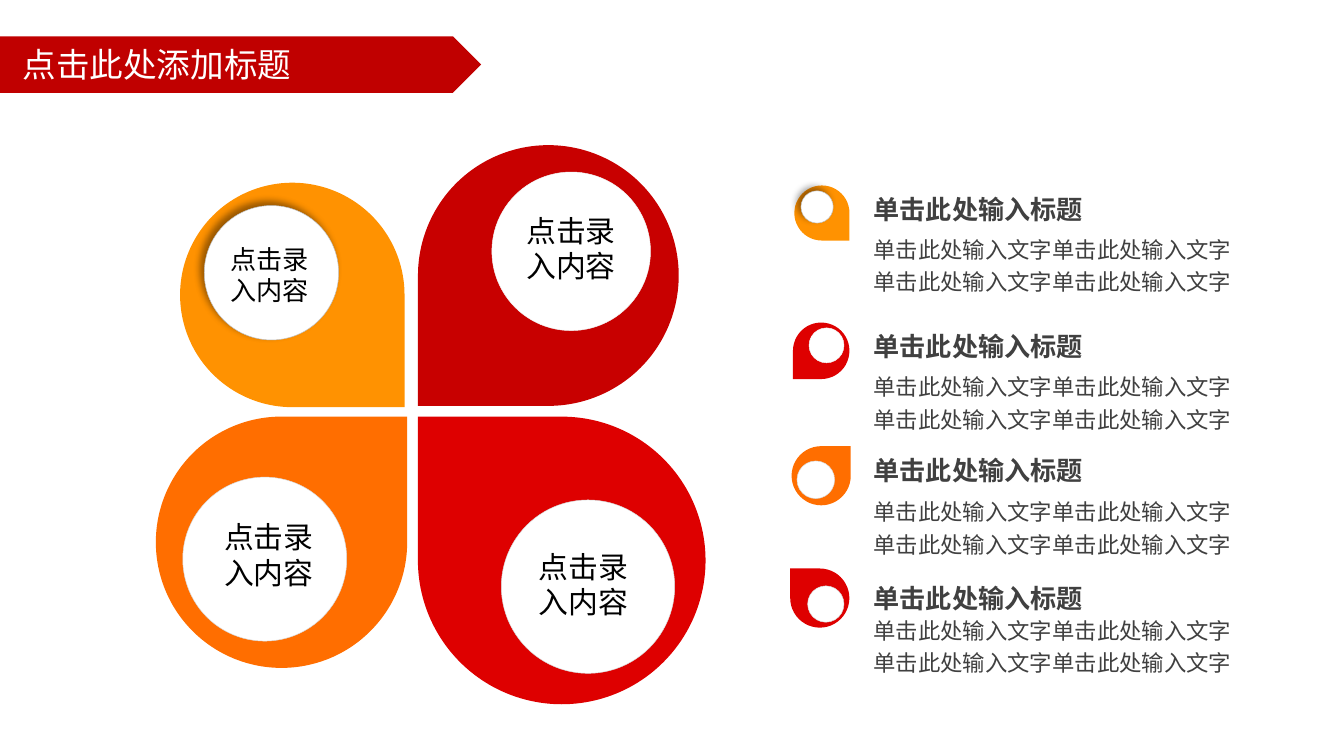
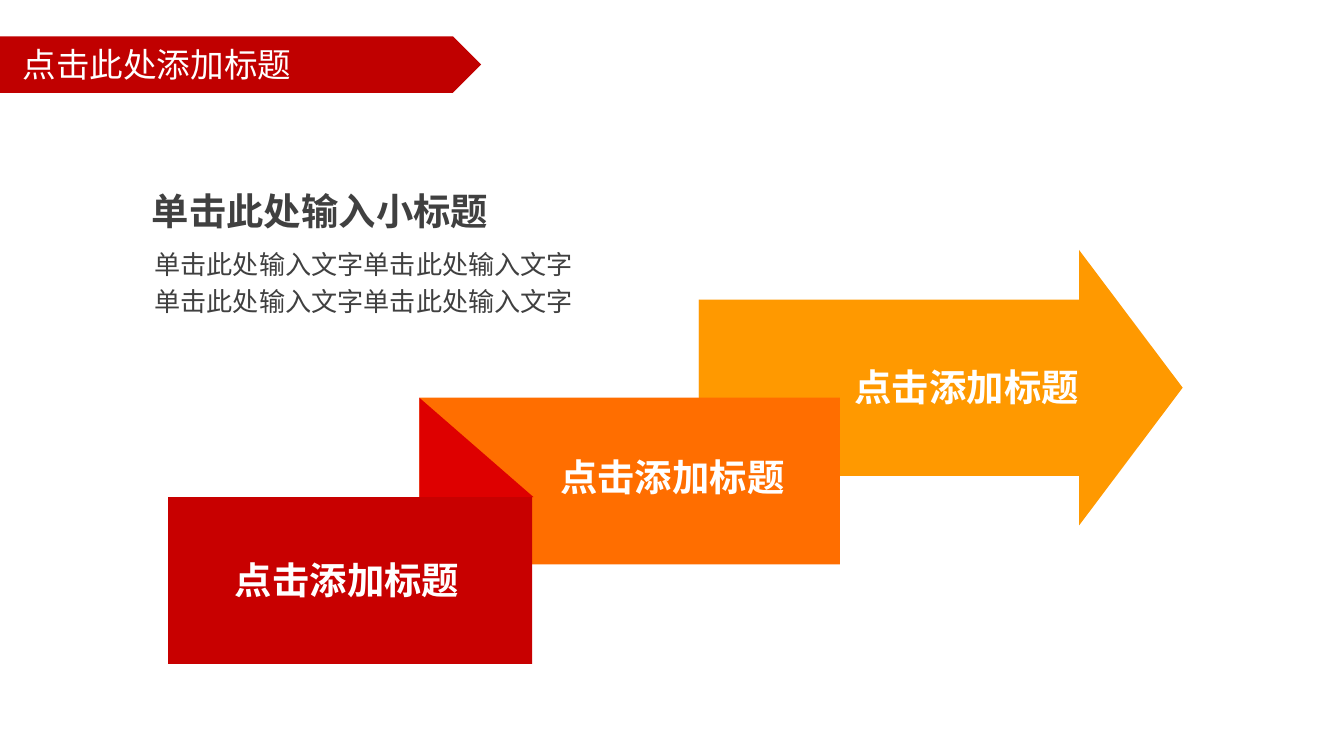
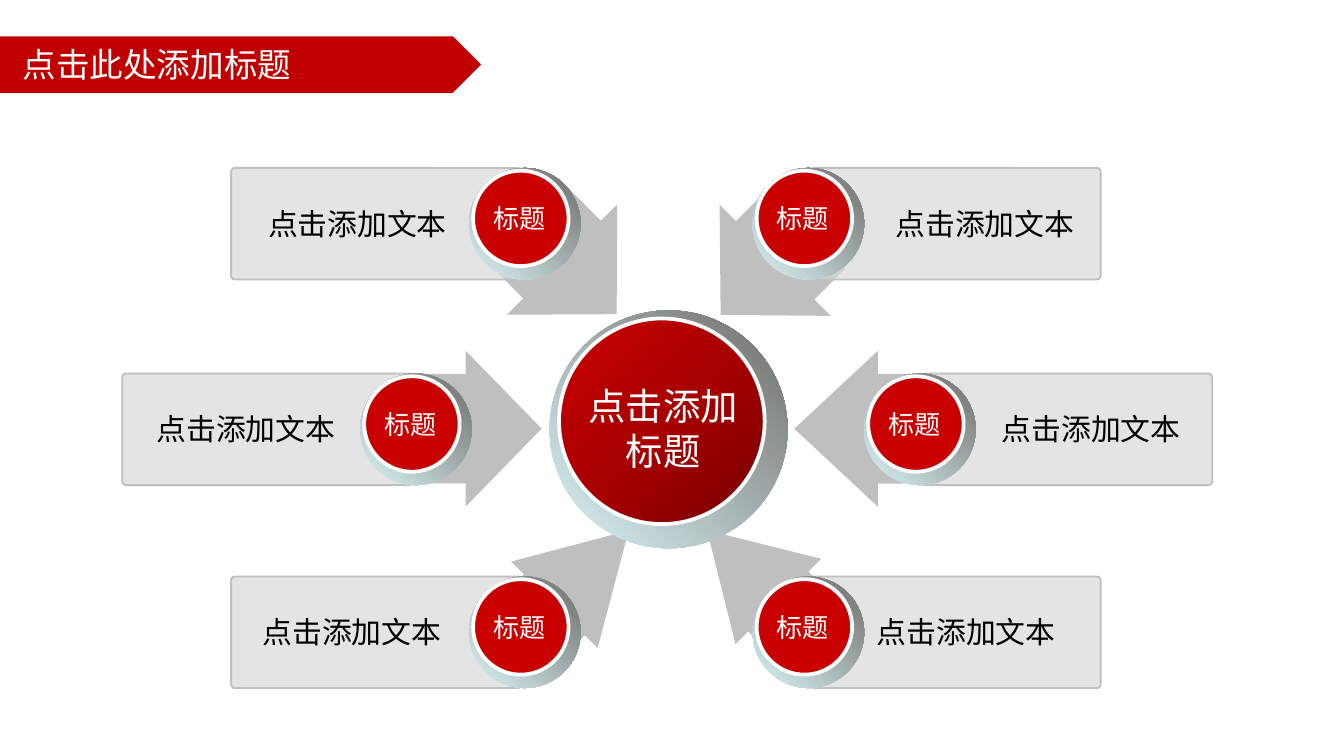
from lxml import etree
from pptx import Presentation
from pptx.dml.color import RGBColor
from pptx.enum.shapes import MSO_SHAPE
from pptx.enum.text import MSO_ANCHOR, PP_ALIGN
from pptx.oxml.ns import qn
from pptx.util import Inches, Pt

# Shared shapes and alignment
PENTAGON = MSO_SHAPE.PENTAGON
TEARDROP = MSO_SHAPE.TEAR
OVAL = MSO_SHAPE.OVAL
RECTANGLE = MSO_SHAPE.RECTANGLE
ROUNDED = MSO_SHAPE.ROUNDED_RECTANGLE
ARROW = MSO_SHAPE.RIGHT_ARROW
LEFT, CENTER = PP_ALIGN.LEFT, PP_ALIGN.CENTER
TOP, MIDDLE = MSO_ANCHOR.TOP, MSO_ANCHOR.MIDDLE

# Shared font and colours
FONT = "Noto Sans CJK SC"
WHITE = RGBColor(0xFF, 0xFF, 0xFF)
BLACK = RGBColor(0x00, 0x00, 0x00)
TEXT_GREY = RGBColor(0x40, 0x40, 0x40)
BAND_RED = RGBColor(0xC0, 0x00, 0x00)
DEEP_RED = RGBColor(0xC8, 0x00, 0x00)
RED = RGBColor(0xDE, 0x00, 0x00)
ORANGE = RGBColor(0xFF, 0x6E, 0x00)
AMBER = RGBColor(0xFF, 0x92, 0x01)
ARROW_AMBER = RGBColor(0xFF, 0x99, 0x00)
PALE_GREY = RGBColor(0xF2, 0xF2, 0xF2)
LIGHT_GREY = RGBColor(0xD9, 0xD9, 0xD9)
MID_GREY = RGBColor(0xBF, 0xBF, 0xBF)
RIM_STOPS = [(0, "DBF5F9"), (100, "6E6D68")]
HUB_STOPS = [(0, "760000"), (50, "A90000"), (100, "C80000")]

SENTENCE = "单击此处输入文字单击此处输入文字"


def add_text(slide, text, left, top, width, height, size=16, color=BLACK, bold=False,
             align=LEFT, anchor=TOP, spacing=None, wrap=True, inset=True, font=FONT):
    box = slide.shapes.add_textbox(Inches(left), Inches(top), Inches(width), Inches(height))
    frame = box.text_frame
    frame.word_wrap = wrap
    frame.vertical_anchor = anchor
    if not inset:
        frame.margin_left = frame.margin_right = frame.margin_top = frame.margin_bottom = 0
    for index, line in enumerate(text.split("\n")):
        paragraph = frame.add_paragraph() if index else frame.paragraphs[0]
        paragraph.alignment = align
        paragraph.line_spacing = spacing
        run = paragraph.add_run()
        run.text = line
        run.font.size = Pt(size)
        run.font.bold = bold
        run.font.color.rgb = color
        run.font.name = font
        etree.SubElement(run.font._element, qn("a:ea"), typeface=FONT)


def finish_shape(shape, fill, line=None, line_width=0.25):
    shape.shadow.inherit = False
    if fill is not None:
        shape.fill.solid()
        shape.fill.fore_color.rgb = fill
    if line is None:
        shape.line.fill.background()
    else:
        shape.line.color.rgb = line
        shape.line.width = Pt(line_width)


def add_shape(slide, kind, left, top, width, height, fill=None, rotation=0,
              adjustments=(), **outline):
    shape = slide.shapes.add_shape(kind, Inches(left), Inches(top),
                                   Inches(width), Inches(height))
    shape.rotation = rotation
    for index, value in enumerate(adjustments):
        shape.adjustments[index] = value
    finish_shape(shape, fill, **outline)
    return shape


def add_triangle(slide, points, fill):
    corners = [(Inches(x), Inches(y)) for x, y in points]
    builder = slide.shapes.build_freeform(*corners[0])
    builder.add_line_segments(corners[1:], close=True)
    finish_shape(builder.convert_to_shape(), fill)


def set_gradient(shape, stops, angle):
    """Replace the fill; angle is counter-clockwise."""
    shape.fill.gradient()
    shape.fill.gradient_angle = angle
    stop_list = shape._element.spPr.find(".//" + qn("a:gsLst"))
    for stop in list(stop_list):
        stop_list.remove(stop)
    for position, color in stops:
        stop = etree.SubElement(stop_list, qn("a:gs"), pos=str(position * 1000))
        etree.SubElement(stop, qn("a:srgbClr"), val=color)


def set_opacity(shape, percent):
    color = shape._element.spPr.find(qn("a:solidFill"))[0]
    etree.SubElement(color, qn("a:alpha"), val=str(percent * 1000))


def add_shadow(shape):
    effects = shape._element.spPr.find(qn("a:effectLst"))
    shadow = etree.SubElement(effects, qn("a:outerShdw"), blurRad=str(Pt(4)),
                              dist=str(Pt(3)), dir=str(225 * 60000))
    color = etree.SubElement(shadow, qn("a:srgbClr"), val="000000")
    etree.SubElement(color, qn("a:alpha"), val="40000")


def new_slide(presentation):
    """Blank slide with the red title band."""
    slide = presentation.slides.add_slide(presentation.slide_layouts[6])
    add_shape(slide, PENTAGON, 0, 0.27, 3.58, 0.42, BAND_RED)
    add_text(slide, "点击此处添加标题", 0.07, 0.25, 9, 0.46, size=18, color=WHITE, anchor=MIDDLE)
    return slide


def add_heading(slide, text, left, top, size):
    add_text(slide, text, left, top, 2.73, 0.39, size=size, color=TEXT_GREY, bold=True,
             anchor=MIDDLE, spacing=1.2, inset=False)


def add_body(slide, left, top, height, size):
    add_text(slide, SENTENCE + "\n" + SENTENCE, left, top, 3.56, height, size=size,
             color=TEXT_GREY, spacing=1.2)


def add_petal(slide, drop, hole, rotation, fill, rim, shadow=False):
    """Teardrop with a round hole; drop and hole are left, top, size."""
    left, top, size = drop
    add_shape(slide, TEARDROP, left, top, size, size, fill, rotation)
    left, top, size = hole
    circle = add_shape(slide, OVAL, left, top, size, size, WHITE, line=rim)
    if shadow:
        add_shadow(circle)


def build_petals(presentation):
    slide = new_slide(presentation)
    # Large petals: drop, hole, rotation, fill, rim, label left, top, size
    petals = [
        ((1.16, 3.1, 1.87), (1.36, 3.55, 1.22), 0, ORANGE, LIGHT_GREY, 1.56, 3.81, 16),
        ((3.11, 3.1, 2.14), (3.73, 3.72, 1.29), 270, RED, LIGHT_GREY, 3.9, 4.03, 16),
        ((1.34, 1.36, 1.67), (1.52, 1.53, 1), 90, AMBER, MID_GREY, 1.61, 1.76, 14),
        ((3.11, 1.08, 1.94), (3.66, 1.28, 1.18), 180, DEEP_RED, PALE_GREY, 3.81, 1.53, 16),
    ]
    for drop, hole, rotation, fill, rim, left, top, size in petals:
        add_petal(slide, drop, hole, rotation, fill, rim, shadow=fill == AMBER)
        width, height = (0.88, 0.64) if size == 16 else (0.79, 0.57)
        add_text(slide, "点击录\n入内容", left, top, width, height, size=size,
                 align=CENTER, wrap=False)

    # Legend: drop, hole, rotation, fill, rim, heading top, body top
    legend = [
        ((5.91, 1.38, 0.41), (5.96, 1.42, 0.24), 90, AMBER, MID_GREY, 1.34, 1.67),
        ((5.9, 2.4, 0.42), (6.02, 2.44, 0.26), 180, RED, PALE_GREY, 2.36, 2.69),
        ((5.89, 3.32, 0.44), (5.93, 3.43, 0.28), 0, ORANGE, LIGHT_GREY, 3.28, 3.62),
        ((5.88, 4.23, 0.44), (6.01, 4.36, 0.27), 270, RED, LIGHT_GREY, 4.23, 4.5),
    ]
    for drop, hole, rotation, fill, rim, heading_top, body_top in legend:
        add_petal(slide, drop, hole, rotation, fill, rim, shadow=fill == AMBER)
        add_body(slide, 6.4, body_top, 0.83, size=12)
        add_heading(slide, "单击此处输入标题", 6.5, heading_top, size=14)


def build_folded_arrow(presentation):
    slide = new_slide(presentation)
    # Ribbon from the arrow head down to the front panel
    add_shape(slide, ARROW, 5.2, 1.86, 3.6, 2.05, ARROW_AMBER, adjustments=(0.64, 0.376))
    add_triangle(slide, [(5.2, 2.96), (5.2, 2.23), (6.26, 2.96)], ARROW_AMBER)
    add_shape(slide, RECTANGLE, 3.12, 2.96, 3.13, 1.24, ORANGE)
    add_triangle(slide, [(3.12, 3.72), (3.12, 2.96), (3.97, 3.7)], RED)
    add_shape(slide, RECTANGLE, 1.25, 3.7, 2.71, 1.24, DEEP_RED)
    for left, top in [(6.26, 2.66), (4.07, 3.33), (1.65, 4.1)]:
        add_text(slide, "点击添加标题", left, top, 1.92, 0.44, size=20, color=WHITE, bold=True)

    # Introduction
    add_body(slide, 1.05, 1.75, 0.93, size=14)
    add_heading(slide, "单击此处输入小标题", 1.13, 1.34, size=20)


def add_rim(slide, left, top, size):
    rim = add_shape(slide, OVAL, left, top, size, size)
    set_gradient(rim, RIM_STOPS, 45)


def add_spoke(slide, arrow, rotation, head, card_left, top, text_left):
    """Arrow, card and ball; the ball sits at the end nearest the hub."""
    add_shape(slide, ARROW, *arrow, MID_GREY, rotation, (0.704, head))
    card = add_shape(slide, ROUNDED, card_left, top, 2.16, 0.83, LIGHT_GREY,
                     adjustments=(0.033,), line=MID_GREY, line_width=1)
    set_opacity(card, 69)
    ball_left = card_left + (1.77 if card_left < 5 else -0.43)
    add_rim(slide, ball_left, top, 0.83)
    add_shape(slide, OVAL, ball_left + 0.03, top + 0.02, 0.71, 0.71, DEEP_RED,
              line=WHITE, line_width=2)
    add_text(slide, "点击添加文本", text_left, top + 0.23, 1.7, 0.37, align=CENTER)
    add_text(slide, "标题", ball_left + 0.08, top + 0.21, 0.59, 0.34, size=14, color=WHITE,
             align=CENTER, wrap=False, font="Calibri")


def build_hub(presentation):
    slide = new_slide(presentation)
    # Spokes: arrow box, rotation, head length, card left, top, text left
    spokes = [
        ((3.82, 1.44, 0.9, 1.16), 45, 0.638, 1.72, 1.25, 1.81),
        ((3.12, 2.61, 0.91, 1.16), 0, 0.621, 0.91, 2.78, 0.98),
        ((3.67, 3.91, 1.18, 0.91), 315, 0.858, 1.72, 4.29, 1.77),
        ((5.09, 3.91, 1.17, 0.9), 225, 0.832, 6.03, 4.29, 6.34),
        ((5.91, 2.61, 0.91, 1.16), 180, 0.683, 6.86, 2.78, 7.27),
        ((5.23, 1.44, 0.9, 1.17), 135, 0.638, 6.03, 1.25, 6.48),
    ]
    for spoke in spokes:
        add_spoke(slide, *spoke)

    # Hub
    add_rim(slide, 4.09, 2.31, 1.77)
    hub = add_shape(slide, OVAL, 4.16, 2.37, 1.53, 1.53, line=WHITE, line_width=2)
    set_gradient(hub, HUB_STOPS, 135)
    add_text(slide, "点击添加标题", 4.23, 2.8, 1.41, 0.77, size=20, color=WHITE, align=CENTER)


def main():
    presentation = Presentation()
    # Widescreen page, 16:9
    presentation.slide_width = Inches(10)
    presentation.slide_height = presentation.slide_width * 9 // 16
    build_petals(presentation)
    build_folded_arrow(presentation)
    build_hub(presentation)
    presentation.save("out.pptx")


if __name__ == "__main__":
    main()
